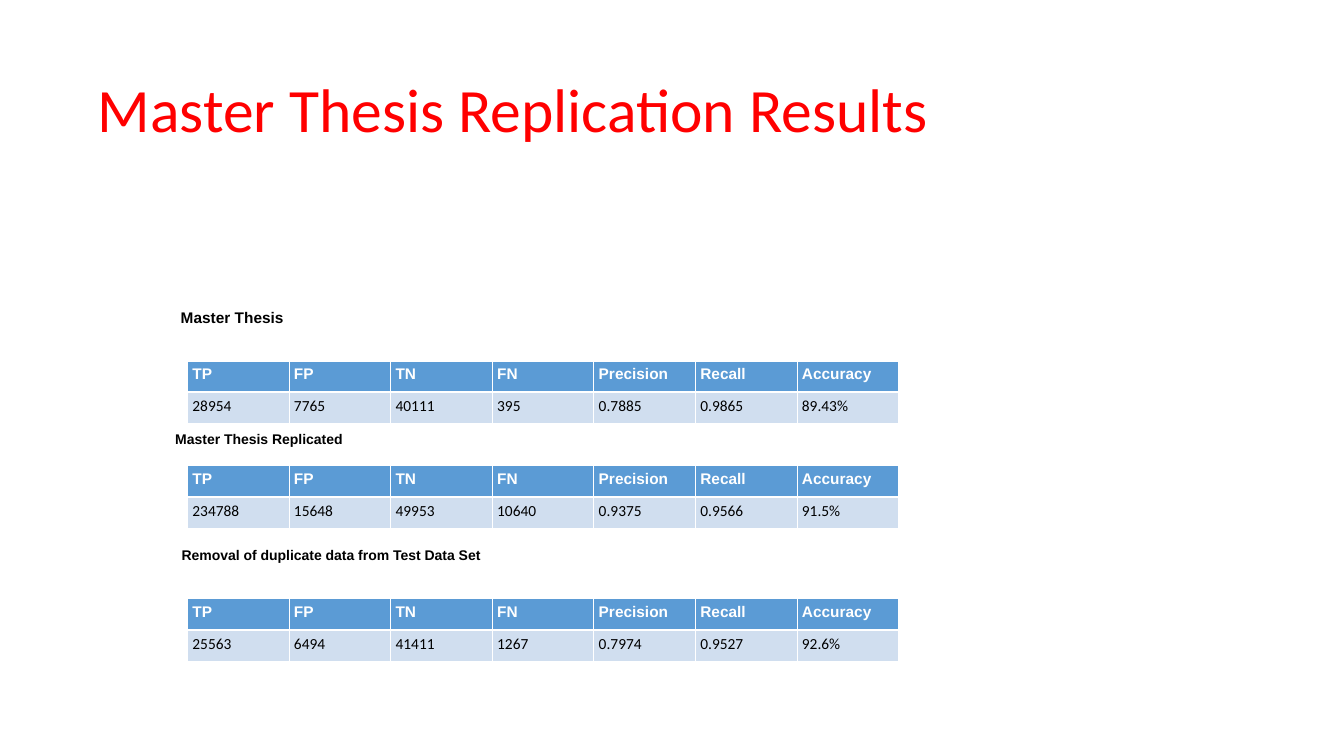
from dataclasses import dataclass

from lxml.etree import SubElement
from pptx import Presentation
from pptx.dml.color import RGBColor
from pptx.enum.shapes import MSO_SHAPE as Shape
from pptx.enum.text import MSO_ANCHOR as Anchor, PP_ALIGN as Align
from pptx.oxml.ns import qn
from pptx.util import Pt

SCALE = 9144
INSET = 5
TABLE_SIZE = (706, 62)
HEADINGS = ("TP", "FP", "TN", "FN", "Precision", "Recall", "Accuracy")


@dataclass(frozen=True)
class Theme:
    """Colours, fonts and type sizes of the slide."""
    title: str = "FF0000"
    text: str = "000000"
    white: str = "FFFFFF"
    header: str = "5B9BD5"
    body: str = "D0DEEF"
    sans: str = "Calibri"
    label: str = "Arial"
    title_size: int = 44
    table_size: int = 11
    label_size: int = 10
    thin: float = 0.45
    thick: float = 1.47


THEME = Theme()
TITLE_FORMAT = {"size": THEME.title_size, "name": THEME.sans, "color": THEME.title}
LABEL_FORMAT = {"name": THEME.label, "color": THEME.text, "bold": True}
HEADER_FORMAT = {"size": THEME.table_size, "name": THEME.label, "color": THEME.white, "bold": True}
BODY_FORMAT = {"size": THEME.table_size, "name": THEME.sans, "color": THEME.text, "bold": False}

RESULTS = (
    ("Master Thesis", THEME.table_size, (163, 300, 135, 29), (186, 358),
     ("28954", "7765", "40111", "395", "0.7885", "0.9865", "89.43%")),
    ("Master Thesis Replicated", THEME.label_size, (145, 421, 224, 28), (186, 462),
     ("234788", "15648", "49953", "10640", "0.9375", "0.9566", "91.5%")),
    ("Removal of duplicate data from Test Data Set", THEME.label_size, (163, 530, 331, 41), (186, 594),
     ("25563", "6494", "41411", "1267", "0.7974", "0.9527", "92.6%")),
)


def emu(*lengths):
    """Turn lengths in px into EMU."""
    return [length * SCALE for length in lengths]


def set_insets(holder):
    """Give a text frame or a cell the same inset on all sides."""
    for side in ("left", "top", "right", "bottom"):
        setattr(holder, f"margin_{side}", INSET * SCALE)


def write(frame, text, values):
    """Write one paragraph and set its font from a dict of values."""
    paragraph = frame.paragraphs[0]
    run = paragraph.add_run()
    run.text = text
    for name, value in values.items():
        if name == "color":
            run.font.color.rgb = RGBColor.from_string(value)
        else:
            setattr(run.font, name, Pt(value) if name == "size" else value)
    return paragraph


def add_title(slide, box, text):
    """Place the slide title in its box."""
    frame = slide.shapes.add_textbox(*emu(*box)).text_frame
    frame.word_wrap = True
    frame.vertical_anchor = Anchor.MIDDLE
    set_insets(frame)
    write(frame, text, TITLE_FORMAT).line_spacing = 0.9


def add_label(slide, box, text, size):
    """Place a white label with centred bold text above a table."""
    shape = slide.shapes.add_shape(Shape.RECTANGLE, *emu(*box))
    shape.shadow.inherit = False
    shape.fill.solid()
    shape.fill.fore_color.rgb = RGBColor.from_string(THEME.white)
    shape.line.fill.background()
    frame = shape.text_frame
    frame.word_wrap = True
    frame.vertical_anchor = Anchor.MIDDLE
    set_insets(frame)
    write(frame, text, {**LABEL_FORMAT, "size": size}).alignment = Align.CENTER


def set_borders(cell, widths):
    """Draw the four white borders of a cell."""
    properties = cell._tc.get_or_add_tcPr()
    for side, width in widths.items():
        line = SubElement(properties, qn(f"a:ln{side}"), w=str(Pt(width)))
        SubElement(SubElement(line, qn("a:solidFill")), qn("a:srgbClr"), val=THEME.white)


def add_results(slide, box, values):
    """Place a table with a header row and one row of results."""
    table = slide.shapes.add_table(2, len(HEADINGS), *emu(*box)).table
    rows = (
        (HEADINGS, HEADER_FORMAT, THEME.header, "B"),
        (values, BODY_FORMAT, THEME.body, "T"),
    )
    for row, (texts, font, fill, thick_side) in enumerate(rows):
        widths = {side: THEME.thick if side == thick_side else THEME.thin for side in "LRTB"}
        for column, text in enumerate(texts):
            cell = table.cell(row, column)
            set_insets(cell)
            set_borders(cell, widths)
            cell.fill.solid()
            cell.fill.fore_color.rgb = RGBColor.from_string(fill)
            write(cell.text_frame, text, font)


def main():
    """Build the results slide and save it."""
    presentation = Presentation()
    presentation.slide_width, presentation.slide_height = emu(1334, 750)
    slide = presentation.slides.add_slide(presentation.slide_layouts[6])
    add_title(slide, (92, 39, 1150, 145), "Master Thesis Replication Results")
    for label, size, label_box, table_corner, values in RESULTS:
        add_label(slide, label_box, label, size)
        add_results(slide, table_corner + TABLE_SIZE, values)
    presentation.save("out.pptx")


if __name__ == "__main__":
    main()
